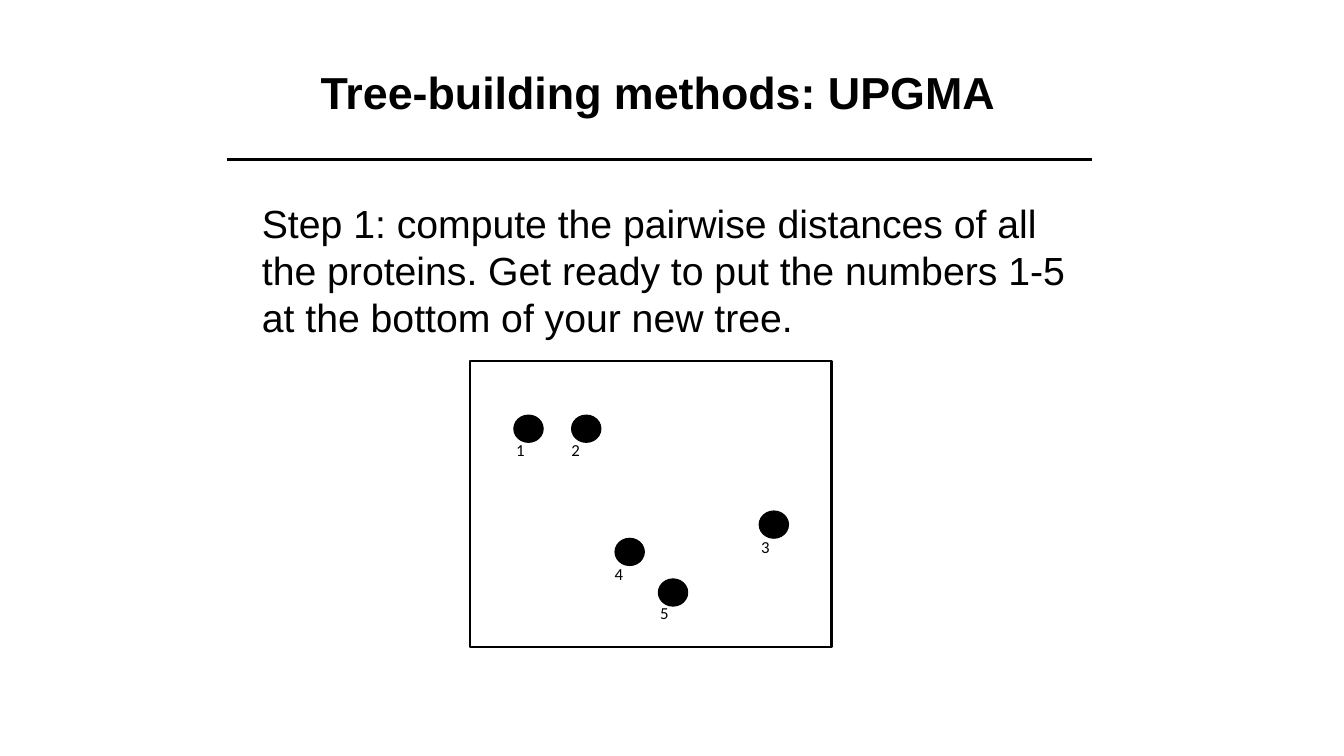
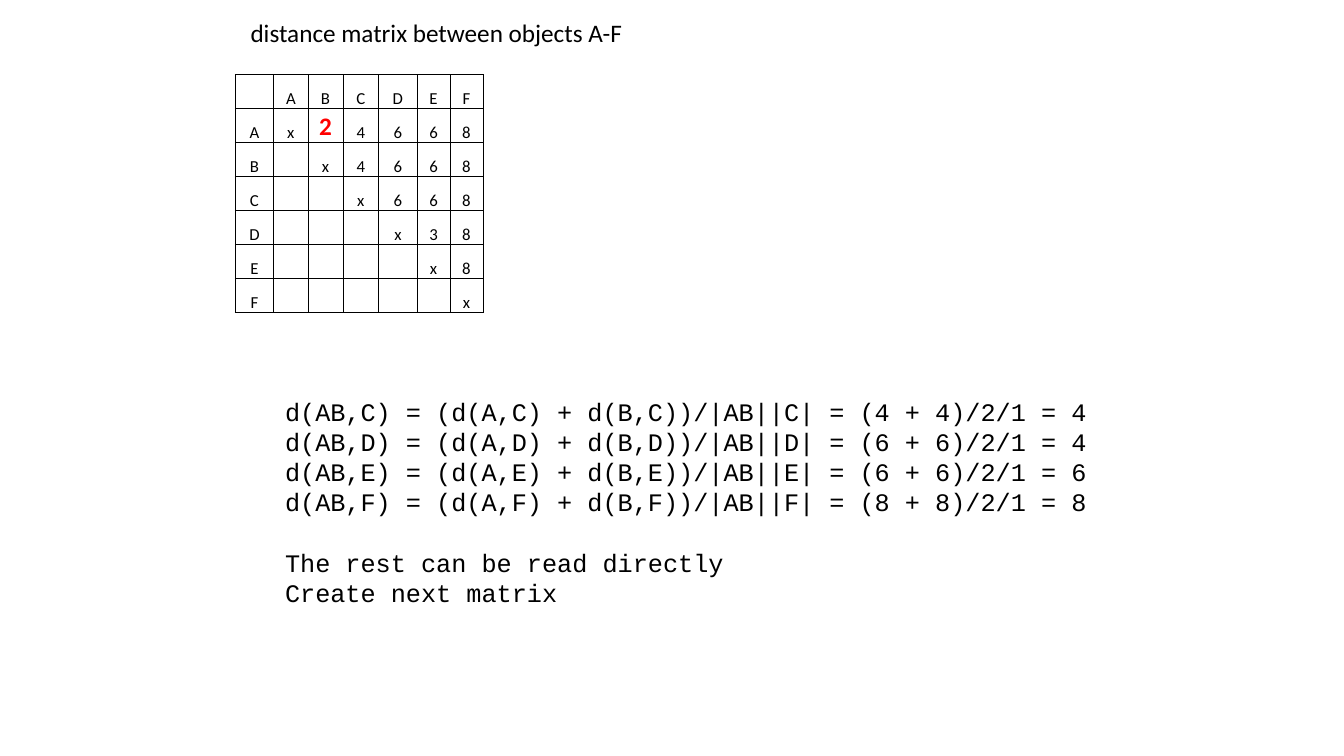
"""Build two slides on UPGMA trees: pairwise distances and a distance matrix."""
import pptx
import pptx.util
import pptx.dml.color
import pptx.enum.shapes
import pptx.enum.text
import pptx.oxml
import pptx.oxml.ns
from lxml import etree

Pt = pptx.util.Pt
RGB = pptx.dml.color.RGBColor.from_string
SHAPE = pptx.enum.shapes.MSO_SHAPE
ALIGN = pptx.enum.text.PP_ALIGN
ANCHOR = pptx.enum.text.MSO_ANCHOR
COLORS = {"ink": "000000", "highlight": "FF0000"}


def write(sp, box, text, size, font, bold=False, spacing=None):
    """Place a text shape and format its left-aligned paragraphs."""
    sp.left, sp.top, sp.width, sp.height = [Pt(v) for v in box]
    tf = sp.text_frame
    tf.text = text
    tf.word_wrap = True
    tf.auto_size = pptx.enum.text.MSO_AUTO_SIZE.NONE
    tf.vertical_anchor = ANCHOR.TOP
    for p in tf.paragraphs:
        p.alignment = ALIGN.LEFT
        if spacing:
            p.line_spacing = Pt(spacing)
        for r in p.runs:
            r.font.size = Pt(size)
            r.font.name = font
            r.font.bold = bold
            r.font.color.rgb = RGB(COLORS["ink"])
    return tf


def add_outline(s, shape, box, weight):
    """Add a preset shape with an ink outline and no fill."""
    sp = s.shapes.add_shape(shape, *[Pt(v) for v in box])
    sp.shadow.inherit = False
    sp.fill.background()
    sp.line.color.rgb = RGB(COLORS["ink"])
    sp.line.width = Pt(weight)
    return sp


prs = pptx.Presentation()
prs.slide_width, prs.slide_height = Pt(960), Pt(540)
title_only = prs.slide_layouts[5]

s = prs.slides.add_slide(title_only)
write(s.shapes.title, (221.75, 42.5, 520, 46), "Tree-building methods: UPGMA",
      32, "Arial", bold=True, spacing=38.4)

rule = s.shapes.add_connector(pptx.enum.shapes.MSO_CONNECTOR.STRAIGHT,
                              Pt(162), Pt(114), Pt(780), Pt(114))
rule.line.color.rgb = RGB(COLORS["ink"])
rule.line.width = Pt(2.25)
etree.SubElement(rule._element.spPr, pptx.oxml.ns.qn("a:effectLst"))

step = ("Step 1: compute the pairwise distances of all\n"
        "the proteins. Get ready to put the numbers 1-5\n"
        "at the bottom of your new tree.")
write(s.shapes.add_textbox(0, 0, 0, 0), (180, 139, 610, 108), step,
      28, "Arial", spacing=33.6)

add_outline(s, SHAPE.RECTANGLE, (336, 258, 258, 204), 1.5)
proteins = [
    ("1", (367, 296.5), (361.5, 310.5)),
    ("2", (408.25, 296.5), (401, 310.5)),
    ("3", (542.25, 365), (536.5, 380)),
    ("4", (439.25, 384.5), (432, 399)),
    ("5", (470.25, 413.5), (464.5, 427)),
]
for label, dot_at, label_at in proteins:
    dot = add_outline(s, SHAPE.OVAL, (*dot_at, 21, 19.5), 0.75)
    dot.fill.solid()
    dot.fill.fore_color.rgb = RGB(COLORS["ink"])
    write(s.shapes.add_textbox(0, 0, 0, 0), (*label_at, 21, 21.6), label,
          12, "Calibri")

s = prs.slides.add_slide(title_only)
write(s.shapes.title, (171.75, 8.75, 300, 29),
      "distance matrix between objects A-F", 18, "Calibri")

objects = "ABCDEF"
distances = ["x24668", "x4668", "x668", "x38", "x8", "x"]
rows = [" " + objects] + [name + values.rjust(len(objects))
                          for name, values in zip(objects, distances)]
widths = [27.5, 24.5, 25, 25.5, 27.5, 23.5, 23.5]
row_height = 24.3
table = s.shapes.add_table(len(rows), len(widths), Pt(168), Pt(53.25),
                           Pt(sum(widths)), Pt(row_height * len(rows))).table
table.first_row = table.horz_banding = False
for column, width in zip(table.columns, widths):
    column.width = Pt(width)
for i, values in enumerate(rows):
    table.rows[i].height = Pt(row_height)
    for j, value in enumerate(values):
        cell = table.cell(i, j)
        cell.margin_left = cell.margin_right = cell.margin_top = Pt(0.75)
        cell.margin_bottom = Pt(0)
        cell.vertical_anchor = ANCHOR.BOTTOM
        cell.text = value.strip()
        p = cell.text_frame.paragraphs[0]
        p.alignment = ALIGN.CENTER
        closest = (i, j) == (1, 2)
        for r in p.runs:
            r.font.name = "Calibri"
            r.font.size = Pt(18 if closest else 12)
            r.font.bold = closest
            r.font.color.rgb = RGB(COLORS["highlight" if closest else "ink"])
        tcPr = cell._tc.get_or_add_tcPr()
        for side in ("lnL", "lnR", "lnT", "lnB"):
            tcPr.append(pptx.oxml.parse_xml(
                f'<a:{side} {pptx.oxml.ns.nsdecls("a")} w="{Pt(0.5)}"><a:solidFill>'
                f'<a:srgbClr val="{COLORS["ink"]}"/></a:solidFill></a:{side}>'))
        cell.fill.background()

merges = [("C", 4, 4), ("D", 6, 4), ("E", 6, 6), ("F", 8, 8)]
lines = [f"d(AB,{k}) = (d(A,{k}) + d(B,{k}))/|AB||{k}| = ({d} + {d})/2/1 = {result}"
         for k, d, result in merges]
lines += ["The rest can be read directly", "Create next matrix"]
tf = write(s.shapes.add_textbox(0, 0, 0, 0), (196.5, 279.5, 610, 204),
           "\n".join(lines), 18, "Courier New", spacing=21.5)
tf.paragraphs[len(merges)].space_before = Pt(22)

prs.save("out.pptx")
